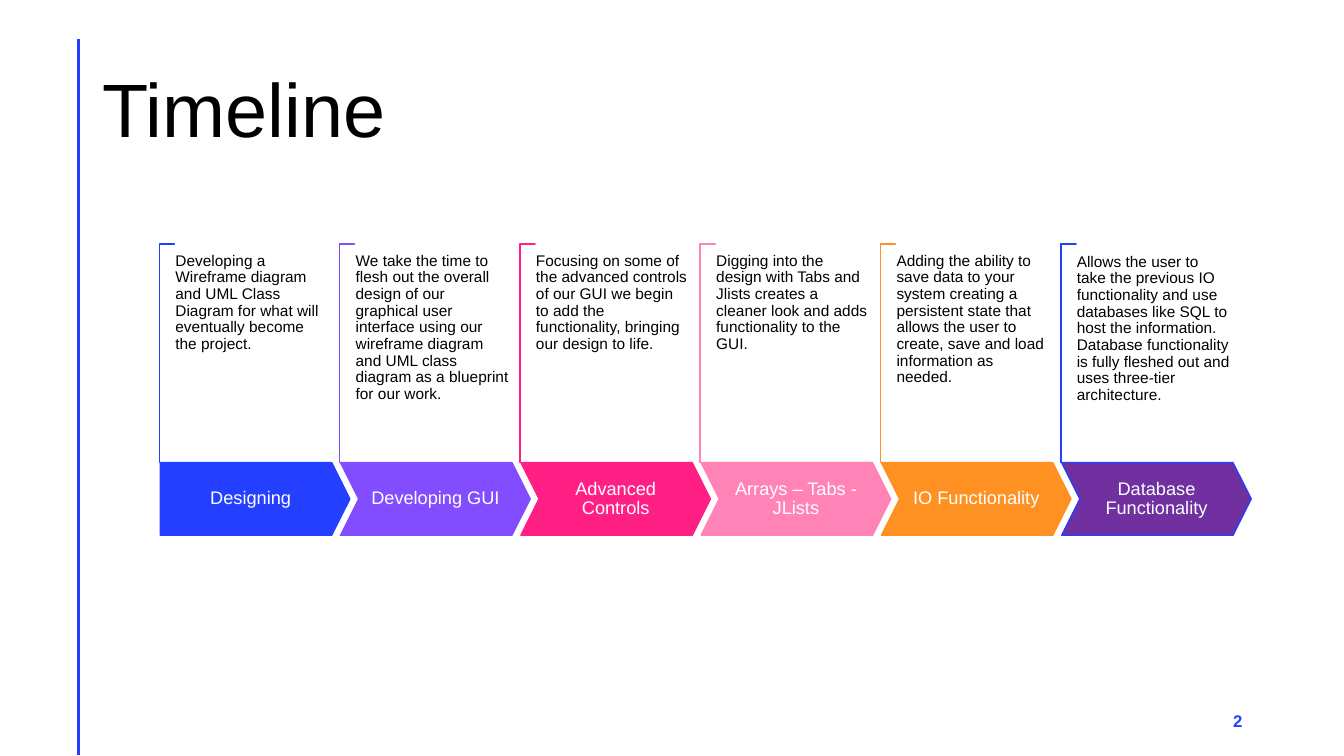
from pptx import Presentation
from pptx import util as u
from pptx.dml.color import RGBColor
from pptx.enum import shapes, text
from pptx.oxml import parse_xml
from pptx.oxml.ns import nsdecls

BLUE = "243FFF"
STAGES = [
    ("Designing", BLUE, BLUE,
     "Developing a Wireframe diagram and UML Class Diagram for what will eventually become the project."),
    ("Developing GUI", "814DFF", "814DFF",
     "We take the time to flesh out the overall design of our graphical user interface using our "
     "wireframe diagram and UML class diagram as a blueprint for our work."),
    ("Advanced Controls", "FF1F85", "FF1F85",
     "Focusing on some of the advanced controls of our GUI we begin to add the functionality, "
     "bringing our design to life."),
    ("Arrays – Tabs - JLists", "FF83B6", "FF83B6",
     "Digging into the design with Tabs and Jlists creates a cleaner look and adds functionality to the GUI."),
    ("IO Functionality", "FF9022", "FF9022",
     "Adding the ability to save data to your system creating a persistent state that allows the user "
     "to create, save and load information as needed."),
    ("Database Functionality", "7030A0", BLUE,
     "Allows the user to take the previous IO functionality and use databases like SQL to host the "
     "information. Database functionality is fully fleshed out and uses three-tier architecture."),
]


def color(value):
    return RGBColor.from_string(value)


def apply(target, values):
    for name, value in values.items():
        setattr(target, name, value)


class TimelinePage:
    font = "Arial"

    def __init__(self, deck):
        self.page = deck.slides.add_slide(deck.slide_layouts[6])

    def line(self, x1, y1, x2, y2, ink, width):
        rule = self.page.shapes.add_connector(
            shapes.MSO_CONNECTOR.STRAIGHT, *map(u.Inches, (x1, y1, x2, y2)))
        rule.line.color.rgb = color(ink)
        rule.line.width = u.Pt(width)
        rule._element.spPr.append(parse_xml(f"<a:effectLst {nsdecls('a')}/>"))

    def shape(self, kind, area, fill, ink, adjustments, rotation=0):
        figure = self.page.shapes.add_shape(kind, *map(u.Inches, area))
        figure.shadow.inherit = False
        figure.rotation = rotation
        for index, value in enumerate(adjustments):
            figure.adjustments[index] = value
        figure.fill.solid()
        figure.fill.fore_color.rgb = color(fill)
        figure.line.color.rgb = color(ink)
        figure.line.width = u.Pt(1)

    def text(self, words, area, size, ink="000000", bold=False, spacing=0.9,
             align=text.PP_ALIGN.LEFT, anchor=text.MSO_ANCHOR.MIDDLE, insets=(0.1, 0.05)):
        box = self.page.shapes.add_textbox(*map(u.Inches, area))
        side, edge = map(u.Inches, insets)
        apply(box.text_frame, {
            "word_wrap": True, "vertical_anchor": anchor,
            "margin_left": side, "margin_right": side,
            "margin_top": edge, "margin_bottom": edge})
        para = box.text_frame.paragraphs[0]
        apply(para, {"alignment": align, "line_spacing": spacing})
        span = para.add_run()
        span.text = words
        apply(span.font, {"name": self.font, "size": u.Pt(size), "bold": bold})
        span.font.color.rgb = color(ink)

    def bracket(self, left, top, width, height, ink):
        area = (left + (width - height) / 2, top + (height - width) / 2, height, width)
        self.shape(shapes.MSO_SHAPE.CORNER, area, "FFFFFF", ink, (0.01, 0.01), 90)

    def stage(self, index, left, label, fill, ink, detail):
        first, last = index == 0, index == len(STAGES) - 1
        self.bracket(left - 0.01, 2.42, 0.15, 2.17, ink)
        kind = shapes.MSO_SHAPE.PENTAGON if first else shapes.MSO_SHAPE.CHEVRON
        self.shape(kind, (left, 4.59, 1.88, 0.72), fill, ink, (0.25,))
        label_left, label_width = (left, 1.79) if first else (left + 0.18, 1.52)
        self.text(label, (label_left, 4.59, label_width, 0.72), 13, "FFFFFF",
                  align=text.PP_ALIGN.CENTER, insets=(0.09, 0.18))
        self.text(detail, (left + 0.15, 2.52 if last else 2.51, 1.53, 1.56), 11,
                  anchor=text.MSO_ANCHOR.TOP, insets=(0, 0))


def main():
    deck = Presentation()
    deck.slide_width, deck.slide_height = u.Inches(13.33), u.Inches(7.5)
    timeline = TimelinePage(deck)
    timeline.line(0.78, 0.39, 0.78, 7.49, BLUE, 2)
    timeline.text("Timeline", (0.92, 0.4, 11.5, 1.45), 54)
    timeline.text("2", (9.42, 6.95, 3, 0.4), 12, BLUE, bold=True, spacing=1.0,
                  align=text.PP_ALIGN.RIGHT)
    first_left, last_left = 1.59, 10.53
    step = (last_left - first_left) / (len(STAGES) - 1)
    for index, stage in enumerate(STAGES):
        timeline.stage(index, first_left + index * step, *stage)
    deck.save("out.pptx")


if __name__ == "__main__":
    main()
